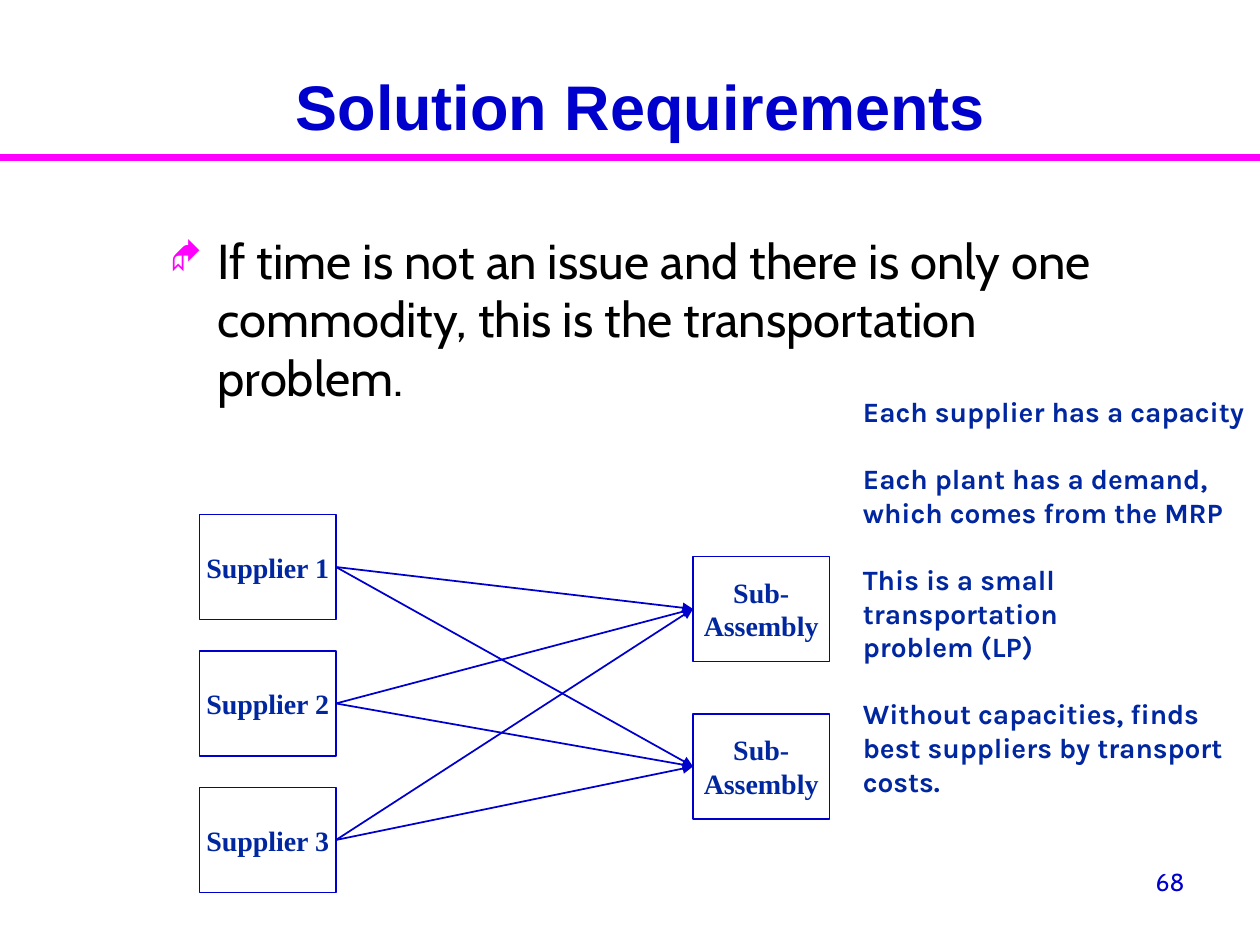
import pptx
import pptx.util
import pptx.dml.color
import pptx.enum.shapes
import pptx.enum.text
import pptx.oxml
import pptx.oxml.ns

UNIT = pptx.util.Inches(1 / 12)  # grid of 120 columns by 90 rows
ALIGN = pptx.enum.text.PP_ALIGN
MIDDLE = pptx.enum.text.MSO_ANCHOR.MIDDLE
DRAWING = pptx.oxml.ns.nsdecls("a")
BLUE, NAVY, PINK = "0000CC", "00279F", "FF00FF"


def color(value):
    return pptx.dml.color.RGBColor.from_string(value)


def write(para, text, font, size, value, bold=False, align=ALIGN.LEFT):
    para.alignment = align
    span = para.add_run()
    span.text = text
    span.font.name = font
    span.font.size = pptx.util.Pt(size)
    span.font.bold = bold
    span.font.color.rgb = color(value)


deck = pptx.Presentation()
deck.slide_width, deck.slide_height = 120 * UNIT, 90 * UNIT
page = deck.slides.add_slide(deck.slide_layouts[6])
shapes = page.shapes
straight = pptx.enum.shapes.MSO_CONNECTOR.STRAIGHT

# Rule under the title
rule = shapes.add_connector(straight, 0, 15 * UNIT, 120 * UNIT, 15 * UNIT)
rule.line.color.rgb = color(PINK)
rule.line.width = pptx.util.Pt(4)
rule._element.spPr.append(pptx.oxml.parse_xml(f"<a:effectLst {DRAWING}/>"))

# Frames for the page number, title, main point and remarks
frames = []
for left, top, width, height in (
    (86, 82, 28, 6),
    (13, 5, 96, 10),
    (15, 21.33, 96, 59),
    (81, 37, 39, 46),
):
    box = shapes.add_textbox(
        int(left * UNIT), int(top * UNIT), width * UNIT, height * UNIT
    )
    box.text_frame.word_wrap = True
    frames.append(box.text_frame)
number, title, point, side = frames

write(number.paragraphs[0], "68", "Cabin", 14, BLUE, align=ALIGN.RIGHT)
title.vertical_anchor = MIDDLE
write(title.paragraphs[0], "Solution Requirements", "Arial", 36, BLUE,
      True, ALIGN.CENTER)

# Main point with a diamond bullet
para = point.paragraphs[0]
properties = para._p.get_or_add_pPr()
properties.set("marL", str(pptx.util.Inches(0.38)))
properties.set("indent", str(-pptx.util.Inches(0.38)))
for bullet in (
    f'<a:buClr {DRAWING}><a:srgbClr val="{PINK}"/></a:buClr>',
    f'<a:buSzPct {DRAWING} val="75000"/>',
    f'<a:buFont {DRAWING} typeface="Wingdings"/>',
    f'<a:buChar {DRAWING} char="◆"/>',
):
    properties.append(pptx.oxml.parse_xml(bullet))
write(para, "If time is not an issue and there is only one commodity, "
      "this is the transportation problem.", "Cabin", 28, "000000")

# Remarks, set apart by one line
remarks = (
    ("Each supplier has a capacity",),
    ("Each plant has a demand,", "which comes from the MRP"),
    ("This is a small transportation", "problem (LP)"),
    ("Without capacities, finds", "best suppliers by transport", "costs."),
)
for group, remark in enumerate(remarks):
    for row, text in enumerate(remark):
        first = group == 0 and row == 0
        para = side.paragraphs[0] if first else side.add_paragraph()
        if group and row == 0:
            para.space_before = pptx.util.Pt(19.2)
        write(para, text, "Karla", 16, NAVY, True)

# Network nodes
plants = [(66, row, ("Sub-", "Assembly")) for row in (53, 68)]
suppliers = [(19, 49 + 13 * i, (f"Supplier {i + 1}",)) for i in range(3)]
nodes = []
for left, top, lines in plants + suppliers:
    node = shapes.add_shape(pptx.enum.shapes.MSO_SHAPE.RECTANGLE,
                            left * UNIT, top * UNIT, 13 * UNIT, 10 * UNIT)
    node.shadow.inherit = False
    node.fill.solid()
    node.fill.fore_color.rgb = color("FFFFFF")
    node.line.color.rgb = color(BLUE)
    node.line.width = pptx.util.Pt(1)
    frame = node.text_frame
    frame.word_wrap = False
    frame.vertical_anchor = MIDDLE
    for row, text in enumerate(lines):
        para = frame.add_paragraph() if row else frame.paragraphs[0]
        write(para, text, "Times New Roman", 16, NAVY, True, ALIGN.CENTER)
    nodes.append(node)

# Arrows from every supplier to every plant
for supplier in nodes[2:]:
    for plant in nodes[:2]:
        arrow = shapes.add_connector(
            straight, supplier.left + supplier.width, supplier.top + 5 * UNIT,
            plant.left, plant.top + 5 * UNIT)
        arrow.begin_connect(supplier, 3)
        arrow.end_connect(plant, 1)
        arrow.line.color.rgb = color(BLUE)
        arrow.line.width = pptx.util.Pt(1)
        arrow.line._get_or_add_ln().append(
            pptx.oxml.parse_xml(f'<a:tailEnd {DRAWING} type="triangle"/>'))
        arrow._element.spPr.append(pptx.oxml.parse_xml(f"<a:effectLst {DRAWING}/>"))

deck.save("out.pptx")
